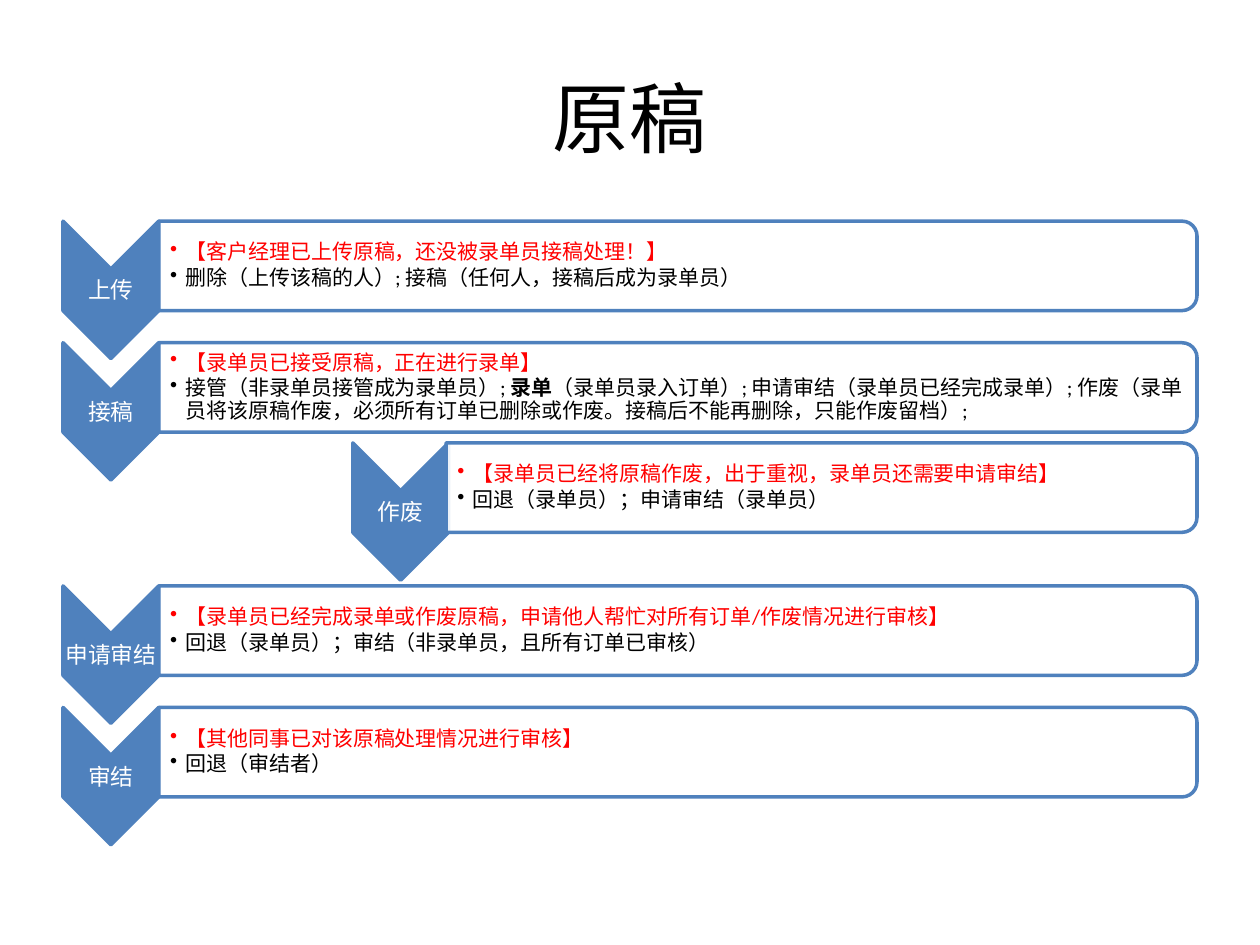
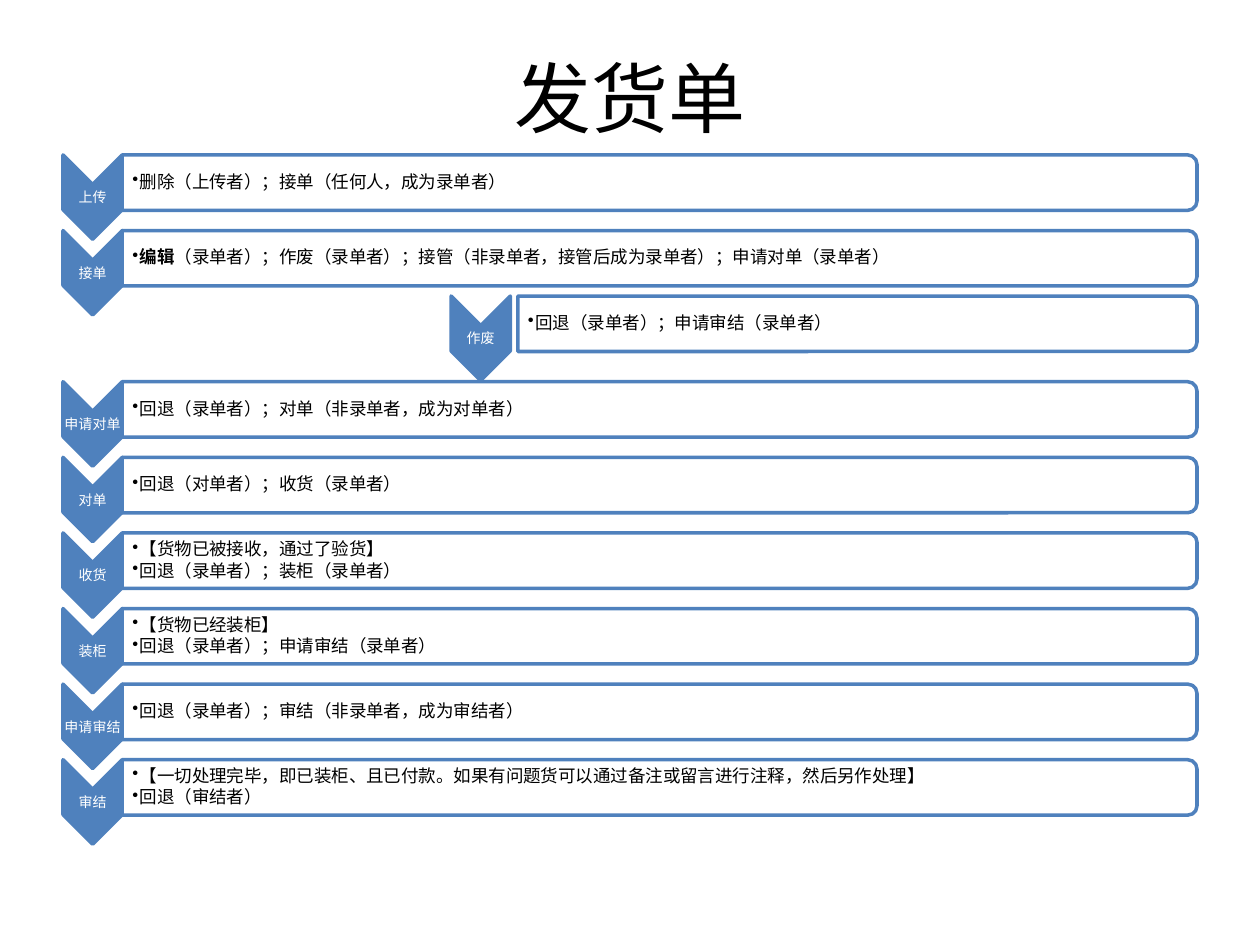
from lxml.etree import SubElement
from pptx import Presentation
from pptx.dml.color import RGBColor
from pptx.enum.shapes import MSO_SHAPE
from pptx.enum.text import MSO_ANCHOR, PP_ALIGN
from pptx.oxml.ns import qn
from pptx.util import Inches, Pt

BLUE = RGBColor(0x4F, 0x81, 0xBD)
WHITE = RGBColor(0xFF, 0xFF, 0xFF)
RED = RGBColor(0xFF, 0x00, 0x00)
BLACK = RGBColor(0x00, 0x00, 0x00)

deck = Presentation()
deck.slide_width, deck.slide_height = Inches(10), Inches(7.5)

# The grid has 100 columns and 75 rows of square cells
CELL = deck.slide_width // 100
LEFT, RIGHT = 5, 95
TITLE_TOP = 3
HAIR = 0.1

# Each step: label, is it a side branch, lines of text (*bold*)
manuscript_steps = [
    ("上传", False, ["【客户经理已上传原稿，还没被录单员接稿处理！】",
                   "删除（上传该稿的人）; 接稿（任何人，接稿后成为录单员）"]),
    ("接稿", False, ["【录单员已接受原稿，正在进行录单】",
                   "接管（非录单员接管成为录单员）; *录单*（录单员录入订单）; "
                   "申请审结（录单员已经完成录单）; 作废（录单员将该原稿作废，"
                   "必须所有订单已删除或作废。接稿后不能再删除，只能作废留档）;"]),
    ("作废", True, ["【录单员已经将原稿作废，出于重视，录单员还需要申请审结】",
                  "回退（录单员）；申请审结（录单员）"]),
    ("申请审结", False, ["【录单员已经完成录单或作废原稿，申请他人帮忙对所有订单/作废情况进行审核】",
                     "回退（录单员）；审结（非录单员，且所有订单已审核）"]),
    ("审结", False, ["【其他同事已对该原稿处理情况进行审核】", "回退（审结者）"]),
]
delivery_steps = [
    ("上传", False, ["删除（上传者）；接单（任何人，成为录单者）"]),
    ("接单", False, ["*编辑*（录单者）；作废（录单者）；接管（非录单者，接管后成为录单者）；"
                   "申请对单（录单者）"]),
    ("作废", True, ["回退（录单者）；申请审结（录单者）"]),
    ("申请对单", False, ["回退（录单者）；对单（非录单者，成为对单者）"]),
    ("对单", False, ["回退（对单者）；收货（录单者）"]),
    ("收货", False, ["【货物已被接收，通过了验货】", "回退（录单者）；装柜（录单者）"]),
    ("装柜", False, ["【货物已经装柜】", "回退（录单者）；申请审结（录单者）"]),
    ("申请审结", False, ["回退（录单者）；审结（非录单者，成为审结者）"]),
    ("审结", False, ["【一切处理完毕，即已装柜、且已付款。如果有问题货可以通过备注或留言"
                   "进行注释，然后另作处理】", "回退（审结者）"]),
]

# Sizes in cells, text in points
flows = [
    dict(title="原稿", title_rows=12.5, steps=manuscript_steps, note_color=RED,
         top=17.55, pitch=9.65, arrow=(7.6, 10.9), panel_rows=7.1,
         side_arrow=28, side_panel=35.4, side_lift=1.7,
         label_pt=13, text_pt=12, inset=0.9, hang=1.2),
    dict(title="发货单", title_rows=9.3, steps=delivery_steps, note_color=BLACK,
         top=12.3, pitch=6, arrow=(4.7, 6.7), panel_rows=4.4,
         side_arrow=35.8, side_panel=41.1, side_lift=0.8,
         label_pt=8, text_pt=10, inset=0.8, hang=0.6),
]


def add_turned(slide, preset, left, top, width, height, fill):
    """Add a shape turned by 90 degrees that covers the given area."""
    shift = (width - height) / 2
    area = (left + shift, top - shift, height, width)
    shape = slide.shapes.add_shape(preset, *(int(n * CELL) for n in area))
    shape.rotation = 90
    shape.shadow.inherit = False
    shape.fill.solid()
    shape.fill.fore_color.rgb = fill
    shape.line.color.rgb = BLUE
    shape.line.width = Pt(2)
    return shape


def add_text(slide, area, lines, size, color, note_color=None,
             align=PP_ALIGN.CENTER, inset=HAIR, hang=0):
    """Add centred text, or bulleted lines when a hanging indent is given."""
    box = slide.shapes.add_textbox(*(int(n * CELL) for n in area))
    frame = box.text_frame
    frame_format = dict(word_wrap=True, vertical_anchor=MSO_ANCHOR.MIDDLE,
                        margin_left=int(inset * CELL), margin_right=int(HAIR * CELL),
                        margin_top=int(HAIR * CELL), margin_bottom=int(HAIR * CELL))
    for key, value in frame_format.items():
        setattr(frame, key, value)
    for number, line in enumerate(lines):
        paragraph = frame.paragraphs[0] if number == 0 else frame.add_paragraph()
        paragraph.alignment = align
        if hang:
            paragraph.line_spacing = 0.9
            paragraph.space_after = Pt(size * 0.15)
            properties = paragraph._p.get_or_add_pPr()
            properties.set("marL", str(int(hang * CELL)))
            properties.set("indent", str(int(-hang * CELL)))
            SubElement(properties, qn("a:buChar")).set("char", "•")
        for part, words in enumerate(line.split("*")):
            if words:
                run = paragraph.add_run()
                run.text = words
                run_format = dict(name="Calibri", size=Pt(size), bold=part % 2 == 1)
                for key, value in run_format.items():
                    setattr(run.font, key, value)
                is_note = note_color is not None and line.startswith("【")
                run.font.color.rgb = note_color if is_note else color


for flow in flows:
    slide = deck.slides.add_slide(deck.slide_layouts[6])
    add_text(slide, (LEFT, TITLE_TOP, RIGHT - LEFT, flow["title_rows"]),
             [flow["title"]], 44, BLACK)
    arrow_width, arrow_height = flow["arrow"]
    panel_rows = flow["panel_rows"]

    for row, (label, is_side, lines) in enumerate(flow["steps"]):
        top = flow["top"] + row * flow["pitch"]
        arrow_left, panel_left = LEFT, LEFT + arrow_width
        if is_side:
            top -= flow["side_lift"]
            arrow_left, panel_left = flow["side_arrow"], flow["side_panel"]
        panel_width = RIGHT - panel_left

        # Step arrow with its label
        add_turned(slide, MSO_SHAPE.CHEVRON, arrow_left, top,
                   arrow_width, arrow_height, BLUE)
        add_text(slide, (arrow_left, top + arrow_height * 0.35,
                         arrow_width, arrow_height * 0.3),
                 [label], flow["label_pt"], WHITE)

        # Panel with the step's actions
        panel = add_turned(slide, MSO_SHAPE.ROUND_2_SAME_RECTANGLE, panel_left, top,
                           panel_width, panel_rows, WHITE)
        panel_color = panel._element.spPr.find(qn("a:solidFill"))[0]
        SubElement(panel_color, qn("a:alpha")).set("val", "90000")
        add_text(slide, (panel_left, top + panel_rows * 0.05,
                         panel_width - 0.3, panel_rows * 0.9),
                 lines, flow["text_pt"], BLACK, flow["note_color"],
                 PP_ALIGN.LEFT, flow["inset"], flow["hang"])

deck.save("out.pptx")
